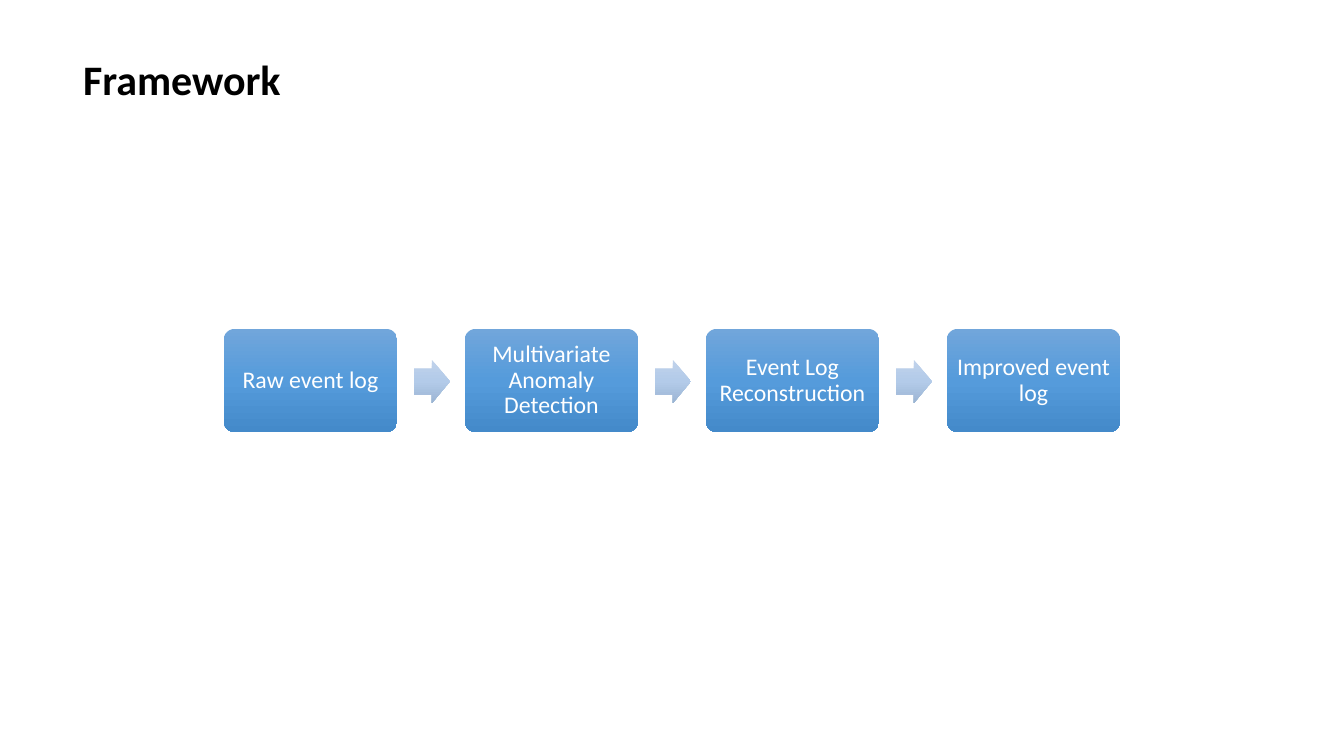
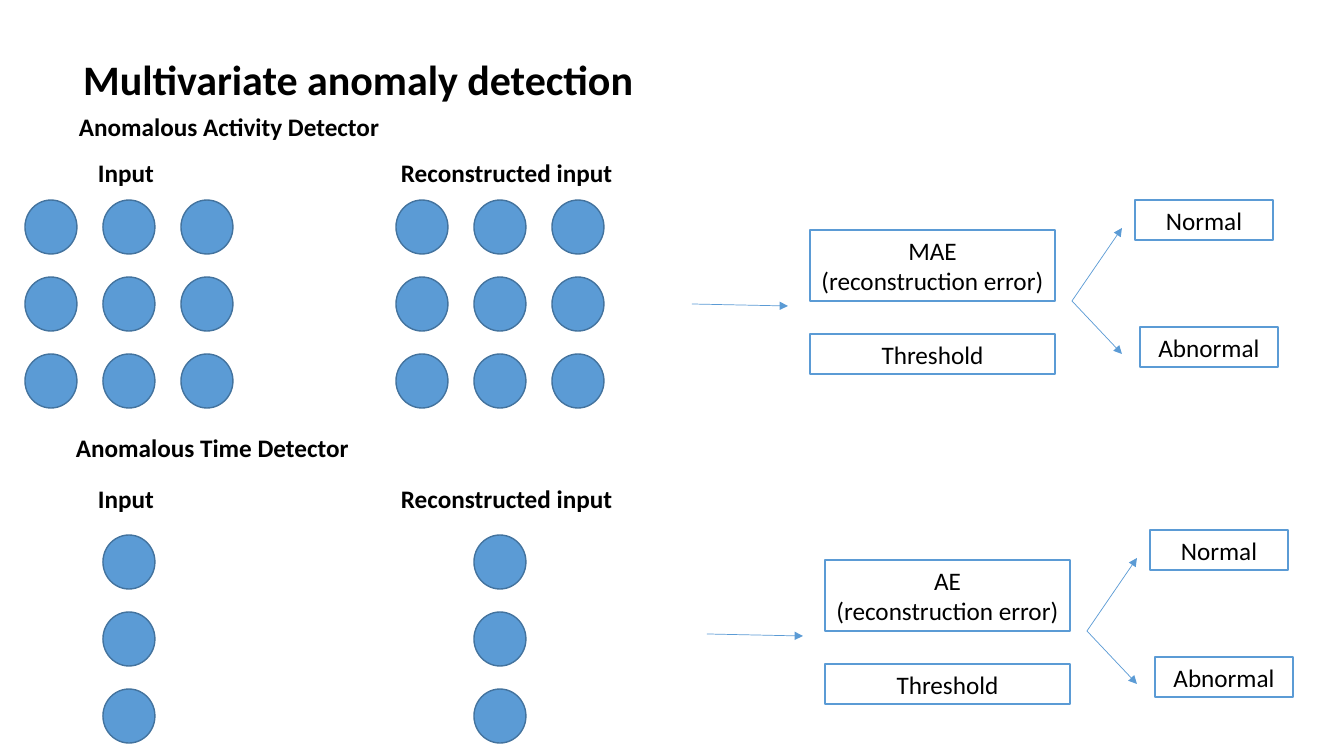
from copy import deepcopy

from pptx import Presentation
from pptx import util as u
from pptx.dml.color import RGBColor
from pptx.enum import shapes, text
from pptx.oxml import ns
from pptx.oxml.xmlchemy import OxmlElement

SCALE = 914400 / 100.8
FONT = "Calibri"
BLACK = RGBColor(0x00, 0x00, 0x00)
WHITE = RGBColor(0xFF, 0xFF, 0xFF)
BLUE = RGBColor(0x5B, 0x9B, 0xD5)
DARK_BLUE = RGBColor(0x43, 0x73, 0x9E)
STEP_BLUES = [RGBColor(0x71, 0xA6, 0xDB), RGBColor(0x55, 0x9B, 0xDB), RGBColor(0x44, 0x8A, 0xCA)]
ARROW_BLUES = [RGBColor(0xC0, 0xD2, 0xEB), RGBColor(0xB3, 0xCB, 0xE9), RGBColor(0x9B, 0xB4, 0xD3)]
LEFT, CENTER = text.PP_ALIGN.LEFT, text.PP_ALIGN.CENTER
SHAPE = shapes.MSO_SHAPE


def write(box, words, size, color=BLACK, bold=False, align=LEFT, spacing=1.0):
    """Fill a box with text and format every paragraph and run."""
    frame = box.text_frame
    frame.text = words
    frame.word_wrap = True
    frame.auto_size = text.MSO_AUTO_SIZE.NONE
    frame.vertical_anchor = text.MSO_ANCHOR.MIDDLE
    for para in frame.paragraphs:
        para.alignment = align
        para.line_spacing = spacing
        for span in para.runs:
            span.font.name = FONT
            span.font.size = u.Pt(size)
            span.font.bold = bold
            span.font.color.rgb = color


def add_box(page, kind, bounds, colors, outline=None):
    """Add a preset shape with a plain fill or a top-to-bottom gradient."""
    box = page.shapes.add_shape(kind, *[round(n * SCALE) for n in bounds])
    box.shadow.inherit = False
    if len(colors) == 1:
        box.fill.solid()
        box.fill.fore_color.rgb = colors[0]
    else:
        box.fill.gradient()
        box.fill.gradient_angle = 270
        stop_list = box.element.spPr.find(ns.qn("a:gradFill")).find(ns.qn("a:gsLst"))
        stop_list.insert(1, deepcopy(stop_list[0]))
        for stop, color, position in zip(box.fill.gradient_stops, colors, (0, 0.5, 1)):
            stop.color.rgb = color
            stop.position = position
    if outline is None:
        box.line.fill.background()
    else:
        box.line.color.rgb = outline
        box.line.width = u.Pt(1)
    return box


deck = Presentation()
deck.slide_width = round(1344 * SCALE)
deck.slide_height = round(756 * SCALE)

pages = []
for heading, width in [("Framework", 228), ("Multivariate anomaly detection", 656)]:
    page = deck.slides.add_slide(deck.slide_layouts[5])
    title = page.shapes.title
    title.left, title.top, title.width, title.height = [
        round(n * SCALE) for n in (73, 48, width, 61)]
    write(title, heading, 30, bold=True)
    pages.append(page)
framework, detection = pages

# Framework: a chain of steps joined by block arrows
STEP_LEFT, STEP_PITCH = 224, 241
steps = ["Raw event log", "Multivariate Anomaly Detection",
         "Event Log Reconstruction", "Improved event log"]
for index, label in enumerate(steps):
    left = STEP_LEFT + index * STEP_PITCH
    step = add_box(framework, SHAPE.ROUNDED_RECTANGLE, (left, 329, 173, 103), STEP_BLUES)
    step.adjustments[0] = 0.1
    write(step, label, 17, WHITE, align=CENTER, spacing=0.9)
    frame = step.text_frame
    frame.margin_left = frame.margin_right = round(7 * SCALE)
    frame.margin_top = frame.margin_bottom = round(7 * SCALE)
    if index < len(steps) - 1:
        arrow = add_box(framework, SHAPE.RIGHT_ARROW, (left + 190, 360, 36, 43), ARROW_BLUES)
        arrow.adjustments[0] = 0.6
        arrow.adjustments[1] = 0.5

# Detection: per detector its heading, label top, circle top, columns, error and flow offset
detectors = [
    ("Anomalous Activity Detector", 69, 106, 152, 200, (0, 1, 2), "MAE", 0, 0),
    ("Anomalous Time Detector", 66, 427, 478, 535, (1,), "AE", 15, 330),
]
for name, name_left, name_top, label_top, circle_top, columns, error, dx, dy in detectors:
    labels = [(name, name_left, name_top, 365), ("Input", 88, label_top, 94),
              ("Reconstructed input", 391, label_top, 246)]
    for words, *bounds in labels:
        label = detection.shapes.add_textbox(*[round(n * SCALE) for n in (*bounds, 40)])
        write(label, words, 18, bold=True)

    for grid_left in (25, 396):
        for column in columns:
            for row in range(3):
                bounds = (grid_left + 78 * column, circle_top + 77 * row, 52, 54)
                add_box(detection, SHAPE.OVAL, bounds, [BLUE], DARK_BLUE)

    results = [(error + "\n(reconstruction error)", 810, 230, 245, 71),
               ("Threshold", 810, 334, 245, 40),
               ("Normal", 1135, 200, 138, 40),
               ("Abnormal", 1140, 327, 138, 40)]
    for words, left, top, width, height in results:
        result = add_box(detection, SHAPE.RECTANGLE, (left + dx, top + dy, width, height),
                         [WHITE], BLUE)
        write(result, words, 18, align=CENTER)

    for x1, y1, x2, y2 in [(692, 304, 788, 306), (1072, 301, 1122, 228), (1072, 301, 1122, 354)]:
        ends = (x1 + dx, y1 + dy, x2 + dx, y2 + dy)
        link = detection.shapes.add_connector(
            shapes.MSO_CONNECTOR.STRAIGHT, *[round(n * SCALE) for n in ends])
        link.line.color.rgb = BLUE
        link.line.width = u.Pt(0.5)
        tip = OxmlElement("a:tailEnd")
        tip.set("type", "triangle")
        link.line._get_or_add_ln().append(tip)
        link.element.spPr.append(OxmlElement("a:effectLst"))

deck.save("out.pptx")
